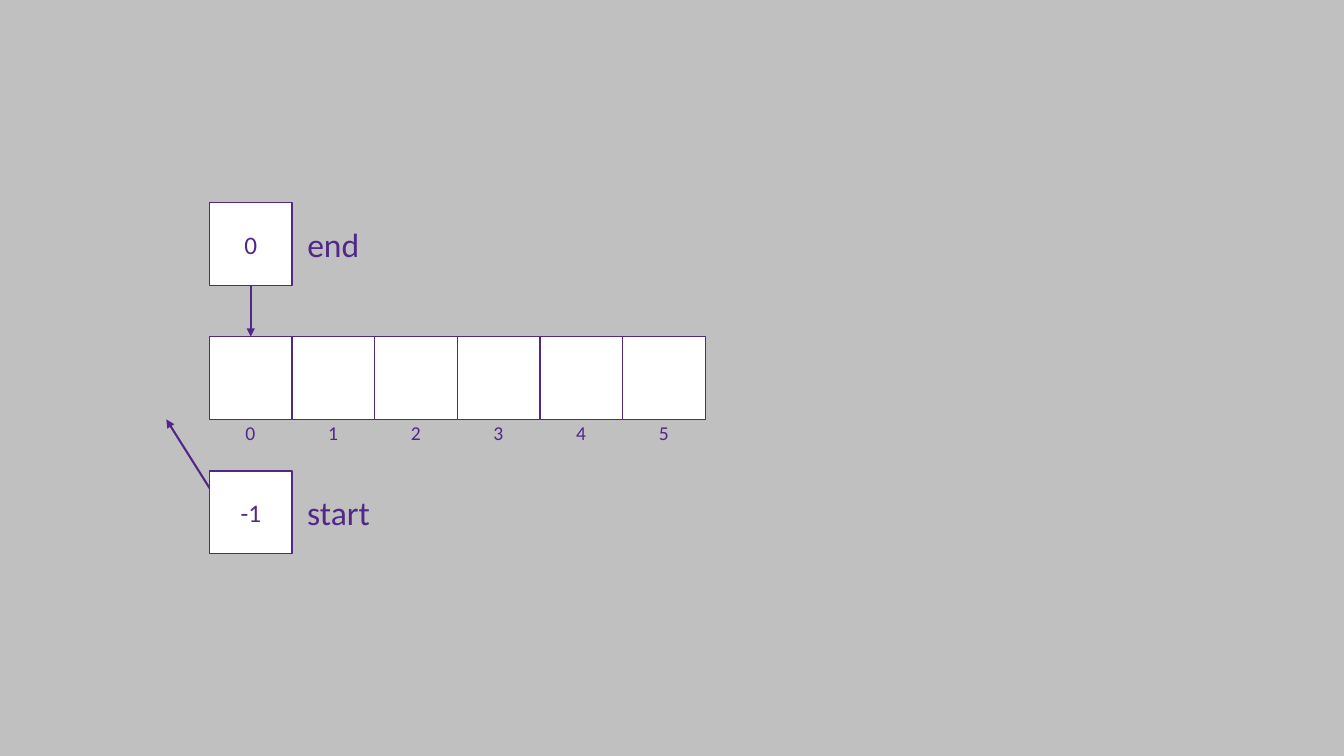
from lxml import etree
from pptx import Presentation
from pptx.dml.color import RGBColor
from pptx.enum.shapes import MSO_CONNECTOR, MSO_SHAPE
from pptx.enum.text import MSO_ANCHOR, MSO_AUTO_SIZE, PP_ALIGN
from pptx.oxml.ns import qn
from pptx.util import Pt

RECT = MSO_SHAPE.RECTANGLE
STRAIGHT = MSO_CONNECTOR.STRAIGHT
MIDDLE = MSO_ANCHOR.MIDDLE
CENTER = PP_ALIGN.CENTER
GROW = MSO_AUTO_SIZE.SHAPE_TO_FIT_TEXT

FONT = "Calibri"
PURPLE, WHITE, GRAY = "512888", "FFFFFF", "C0C0C0"
SIDE = 59.04
LEFT = 149.6
MID = LEFT + SIDE / 2
END_TOP, ARRAY_TOP, START_TOP = 144.7, 240.5, 336.3
COUNT = 6


def paint(part, color):
    """Give a fill or a line fill one solid colour."""
    part.solid()
    part.fore_color.rgb = RGBColor.from_string(color)


def write(frame, text, size):
    line = frame.paragraphs[0]
    line.text = text
    line.font.name = FONT
    line.font.size = Pt(size)
    line.font.color.rgb = RGBColor.from_string(PURPLE)
    return line


def add_cell(slide, left, top, text=""):
    cell = slide.shapes.add_shape(RECT, Pt(left), Pt(top), Pt(SIDE), Pt(SIDE))
    cell.shadow.inherit = False
    paint(cell.fill, WHITE)
    paint(cell.line.fill, PURPLE)
    cell.line.width = Pt(1)
    if text:
        cell.text_frame.vertical_anchor = MIDDLE
        write(cell.text_frame, text, 18).alignment = CENTER


def add_label(slide, left, top, width, height, text, size):
    box = slide.shapes.add_textbox(Pt(left), Pt(top), Pt(width), Pt(height))
    box.text_frame.word_wrap = False
    box.text_frame.auto_size = GROW
    write(box.text_frame, text, size)


def add_arrow(slide, tail, tip):
    arrow = slide.shapes.add_connector(STRAIGHT, *map(Pt, tail + tip))
    paint(arrow.line.fill, PURPLE)
    arrow.line.width = Pt(1.5)
    head = etree.SubElement(arrow.line.fill._xPr, qn("a:tailEnd"))
    head.set("type", "triangle")
    etree.SubElement(arrow._element.spPr, qn("a:effectLst"))


def add_array(slide):
    for index in range(COUNT):
        left = LEFT + index * SIDE
        add_cell(slide, left, ARRAY_TOP)
        add_label(slide, left + 18.7, 297.4, 21.6, 24.5, str(index), 14)


def add_index(slide, top, value, name, width, tail, tip):
    """Add an index variable: its arrow, its value box and its name."""
    add_arrow(slide, tail, tip)
    add_cell(slide, LEFT, top, value)
    add_label(slide, LEFT + 62.8, top + 11.5, width, 36, name, 24)


def main():
    deck = Presentation()
    deck.slide_width, deck.slide_height = Pt(960), Pt(540)
    slide = deck.slides.add_slide(deck.slide_layouts[6])
    paint(slide.background.fill, GRAY)
    add_array(slide)
    add_index(slide, END_TOP, "0", "end", 51.8,
              (MID, END_TOP), (MID, ARRAY_TOP))
    add_index(slide, START_TOP, "-1", "start", 59.8,
              (MID, START_TOP + SIDE), (118.8, ARRAY_TOP + SIDE))
    deck.save("out.pptx")


if __name__ == "__main__":
    main()
